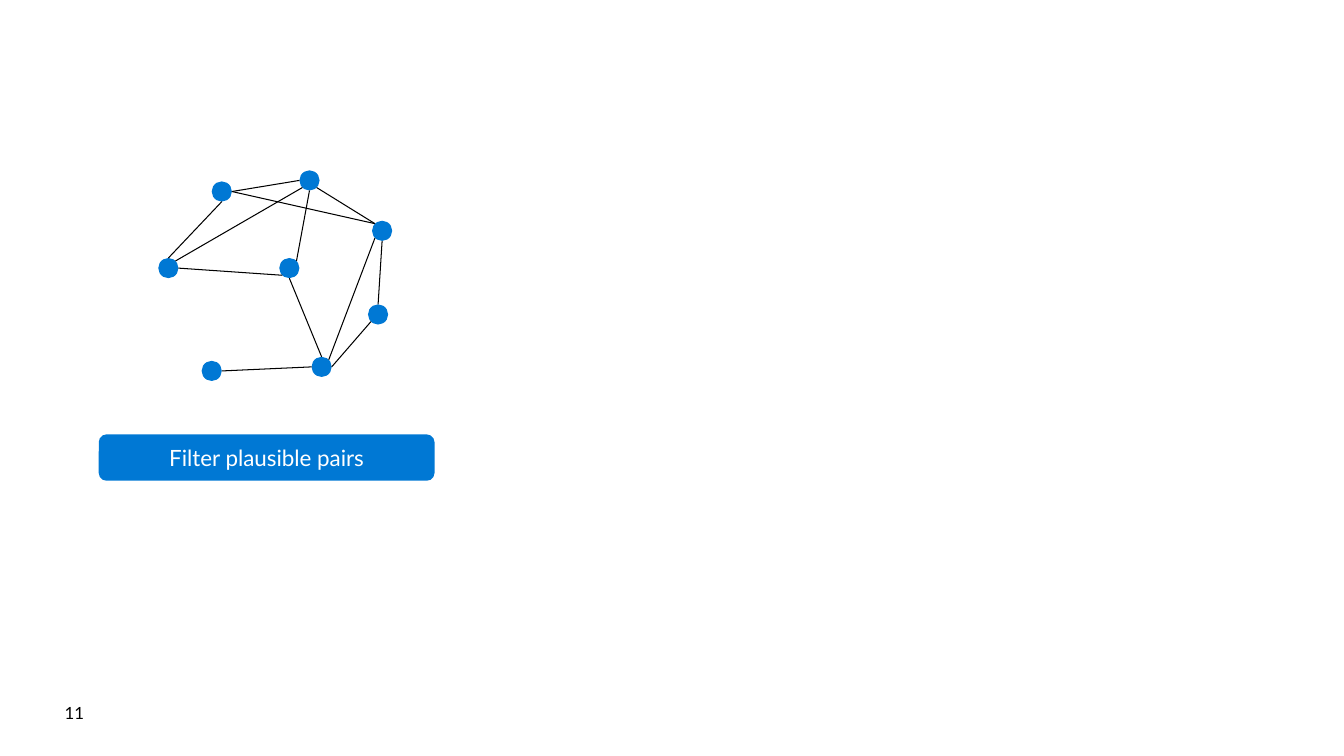
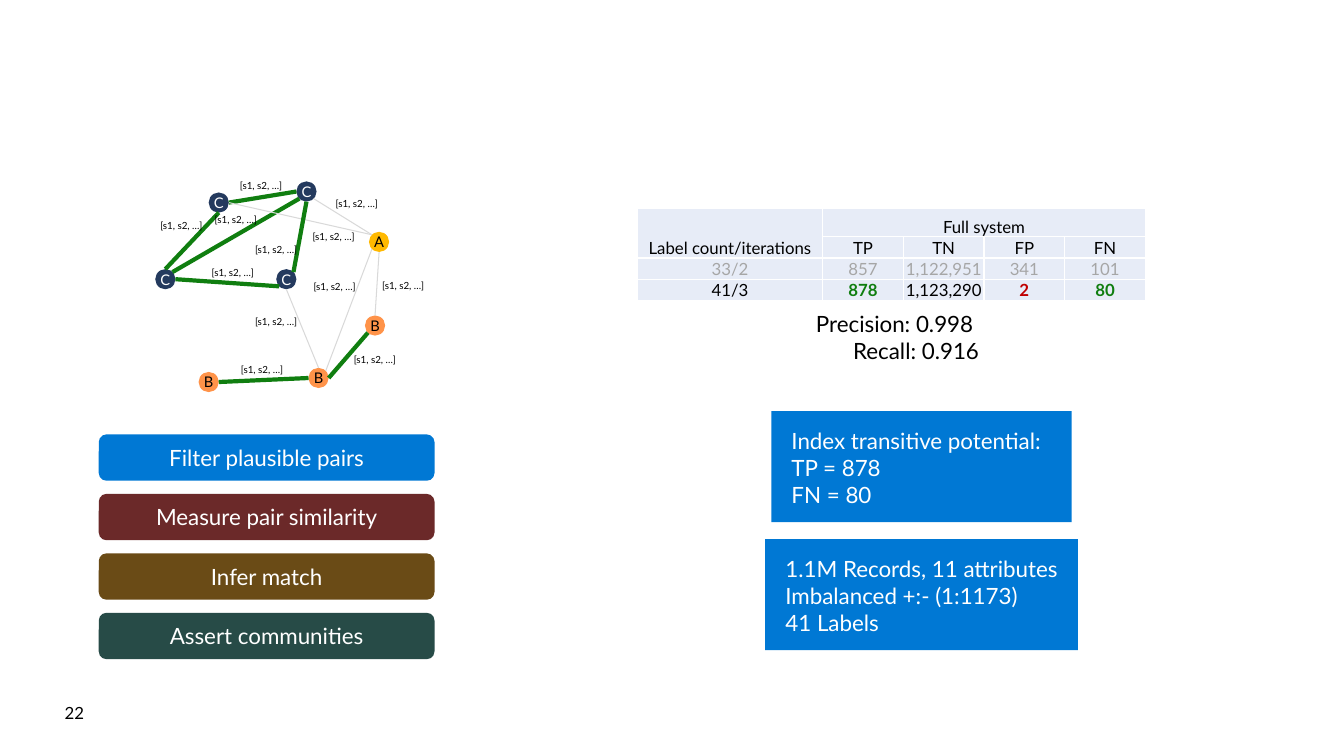
from math import cos, radians, sin

from lxml import etree
from pptx import Presentation
from pptx.dml.color import RGBColor
from pptx.enum.shapes import MSO_CONNECTOR as CONN, MSO_SHAPE as SHAPE
from pptx.enum.text import MSO_ANCHOR as ANCHOR, PP_ALIGN as ALIGN
from pptx.oxml.ns import qn
from pptx.util import Inches, Pt

# Shared style
FONT = "Lato"
BLACK, WHITE, BLUE = "000000", "FFFFFF", "0078D4"
NAVY, GOLD, ORANGE = "243A5E", "FFB900", "FF9349"
GREEN, RED, LIGHT, MUTED = "107E10", "C00000", "D9D9D9", "A6A6A6"
CELL_FILL = "E7ECF7"
BOX_INSETS = (0.2, 0.16)

# Graph shared by both slides: top left corner of each node
NODE_SIZE = 0.2
NODES = {
    "a": (2.1, 1.8), "b": (3.69, 2.19), "c": (2.97, 1.69), "d": (1.57, 2.56),
    "e": (3.09, 3.54), "f": (2.77, 2.56), "g": (3.65, 3.02), "h": (2, 3.58),
}
# Angles of the points where edges meet a node, clockwise from the right
SITES = {"right": 0, "low right": 45, "bottom": 90, "low left": 135,
         "left": 180, "top left": 225, "top": 270, "top right": 315}
EDGES = [
    ("d", "top", "a", "bottom"),
    ("c", "low left", "d", "top right"),
    ("f", "low left", "d", "right"),
    ("c", "left", "a", "right"),
    ("b", "top left", "a", "right"),
    ("c", "bottom", "f", "top right"),
    ("c", "low right", "b", "top left"),
    ("e", "top right", "b", "low left"),
    ("g", "top", "b", "bottom"),
    ("g", "low left", "e", "right"),
    ("f", "bottom", "e", "top"),
    ("e", "left", "h", "right"),
]

# Communities found on the results slide: fill, letter colour
COMMUNITIES = {"A": (GOLD, BLACK), "B": (ORANGE, BLACK), "C": (NAVY, WHITE)}
MEMBERS = dict(zip("abcdefgh", "CACCBCBB"))
SCORE_SPOTS = [
    (3.33, 1.96), (3.79, 2.77), (3.51, 3.51), (3.11, 2.78), (3.1, 2.29), (2.53, 2.42),
    (2.1, 2.65), (1.59, 2.18), (2.13, 2.12), (2.38, 1.78), (2.53, 3.13), (2.39, 3.61),
]
STEPS = [("Filter plausible pairs", BLUE), ("Measure pair similarity", "6B2929"),
         ("Infer match", "6A4B16"), ("Assert communities", "274B47")]

TABLE_ROWS = [
    ["Label count/iterations", "Full system", "", "", ""],
    ["", "TP", "TN", "FP", "FN"],
    ["33/2", "857", "1,122,951", "341", "101"],
    ["41/3", "878", "1,123,290", "2", "80"],
]
HIGHLIGHTS = {(3, 1): GREEN, (3, 3): RED, (3, 4): GREEN}


def rgb(color):
    return RGBColor.from_string(color)


def write(tf, lines, size, color=BLACK, align=ALIGN.LEFT, anchor=ANCHOR.TOP,
          insets=(0, 0), wrap=True):
    side, edge = map(Inches, insets)
    frame = {"margin_left": side, "margin_right": side, "margin_top": edge,
             "margin_bottom": edge, "vertical_anchor": anchor, "word_wrap": wrap}
    for name, value in frame.items():
        setattr(tf, name, value)
    for i, line in enumerate(lines):
        p = tf.paragraphs[0] if i == 0 else tf.add_paragraph()
        p.alignment = align
        r = p.add_run()
        r.text = line
        r.font.name, r.font.size = FONT, Pt(size)
        r.font.color.rgb = rgb(color)


def add_text(s, box, lines, size, **style):
    sp = s.shapes.add_textbox(*map(Inches, box))
    write(sp.text_frame, lines, size, **style)


def add_filled(s, kind, box, fill):
    sp = s.shapes.add_shape(kind, *map(Inches, box))
    sp.shadow.inherit = False
    sp.fill.solid()
    sp.fill.fore_color.rgb = rgb(fill)
    sp.line.fill.background()
    return sp


def add_edge(s, start, end, color, width):
    cx = s.shapes.add_connector(CONN.STRAIGHT, *map(Inches, start + end))
    cx.line.color.rgb = rgb(color)
    cx.line.width = Pt(width)
    etree.SubElement(cx._element.spPr, qn("a:effectLst"))


def site_point(corner, site):
    angle, radius = radians(SITES[site]), NODE_SIZE / 2
    return (corner[0] + radius * (1 + cos(angle)), corner[1] + radius * (1 + sin(angle)))


def add_graph(s, dx=0, dy=0, members=None):
    """Draw the graph; with members, colour nodes and matched edges by community."""
    corners = {name: (x + dx, y + dy) for name, (x, y) in NODES.items()}
    for name, corner in corners.items():
        letter = members[name] if members else None
        fill, color = COMMUNITIES[letter] if letter else (BLUE, WHITE)
        sp = add_filled(s, SHAPE.OVAL, (*corner, NODE_SIZE, NODE_SIZE), fill)
        if letter:
            write(sp.text_frame, [letter], 10.5, color, ALIGN.CENTER, ANCHOR.MIDDLE,
                  wrap=False)
    for first, first_site, second, second_site in EDGES:
        line = (BLACK, 0.75)
        if members:
            matched = members[first] == members[second]
            line = (GREEN, 3) if matched else (LIGHT, 0.75)
        add_edge(s, site_point(corners[first], first_site),
                 site_point(corners[second], second_site), *line)


def add_steps(s, count):
    for i, (label, fill) in enumerate(STEPS[:count]):
        sp = add_filled(s, SHAPE.ROUNDED_RECTANGLE, (0.98, 4.31 + 0.59 * i, 3.33, 0.46), fill)
        write(sp.text_frame, [label], 16, WHITE, ALIGN.CENTER, ANCHOR.MIDDLE, BOX_INSETS)


def add_fact_box(s, box, lines):
    sp = add_filled(s, SHAPE.RECTANGLE, box, BLUE)
    write(sp.text_frame, lines, 16, WHITE, insets=BOX_INSETS, wrap=False)


def set_borders(cell, color, width):
    tc_pr = cell._tc.get_or_add_tcPr()
    for i, side in enumerate(("lnL", "lnR", "lnT", "lnB")):
        ln = etree.Element(qn("a:" + side), w=str(Pt(width)))
        fill = etree.SubElement(ln, qn("a:solidFill"))
        etree.SubElement(fill, qn("a:srgbClr"), val=color)
        tc_pr.insert(i, ln)


def add_results_table(s):
    widths, heights = [1.84] + [0.8] * 4, [0.28] + [0.21] * 3
    box = (6.32, 2.07, sum(widths), sum(heights))
    table = s.shapes.add_table(len(heights), len(widths), *map(Inches, box)).table
    table.first_row = table.horz_banding = False
    for col, width in zip(table.columns, widths):
        col.width = Inches(width)
    for row, height in zip(table.rows, heights):
        row.height = Inches(height)
    table.cell(0, 0).merge(table.cell(1, 0))
    table.cell(0, 1).merge(table.cell(0, 4))
    for i, values in enumerate(TABLE_ROWS):
        for j, value in enumerate(values):
            cell = table.cell(i, j)
            cell.fill.solid()
            cell.fill.fore_color.rgb = rgb(CELL_FILL)
            set_borders(cell, WHITE, 1)
            for side in ("left", "right", "top", "bottom"):
                setattr(cell, "margin_" + side, 0)
            cell.vertical_anchor = ANCHOR.BOTTOM
            p = cell.text_frame.paragraphs[0]
            p.alignment = ALIGN.CENTER
            p.font.size = Pt(12)
            if value:
                r = p.add_run()
                r.text = value
                color = HIGHLIGHTS.get((i, j), MUTED if i == 2 else BLACK)
                font = {"name": FONT, "size": Pt(12), "bold": (i, j) in HIGHLIGHTS}
                for name, setting in font.items():
                    setattr(r.font, name, setting)
                r.font.color.rgb = rgb(color)


def add_slide(prs, number):
    s = prs.slides.add_slide(prs.slide_layouts[6])
    add_text(s, (0.64, 6.97, 1.92, 0.2), [number], 12)
    return s


def main():
    prs = Presentation()
    prs.slide_width, prs.slide_height = Inches(13.33), Inches(7.5)

    # Filtering step
    s = add_slide(prs, "11")
    add_graph(s)
    add_steps(s, 1)

    # All steps with results
    s = add_slide(prs, "22")
    add_graph(s, -0.03, 0.11, MEMBERS)
    for spot in SCORE_SPOTS:
        add_text(s, (*spot, 0.63, 0.12), ["[s1, s2, …]"], 7)
    add_steps(s, len(STEPS))
    add_results_table(s)
    add_text(s, (6.71, 3.08, 3, 0.54), ["Precision: 0.998 ", "Recall: 0.916"], 16,
             align=ALIGN.RIGHT)
    add_fact_box(s, (7.65, 4.08, 2.98, 1.1),
                 ["Index transitive potential:", "TP = 878", "FN = 80"])
    add_fact_box(s, (7.59, 5.35, 3.1, 1.1),
                 ["1.1M Records, 11 attributes", "Imbalanced +:- (1:1173)", "41 Labels"])

    prs.save("out.pptx")


main()
